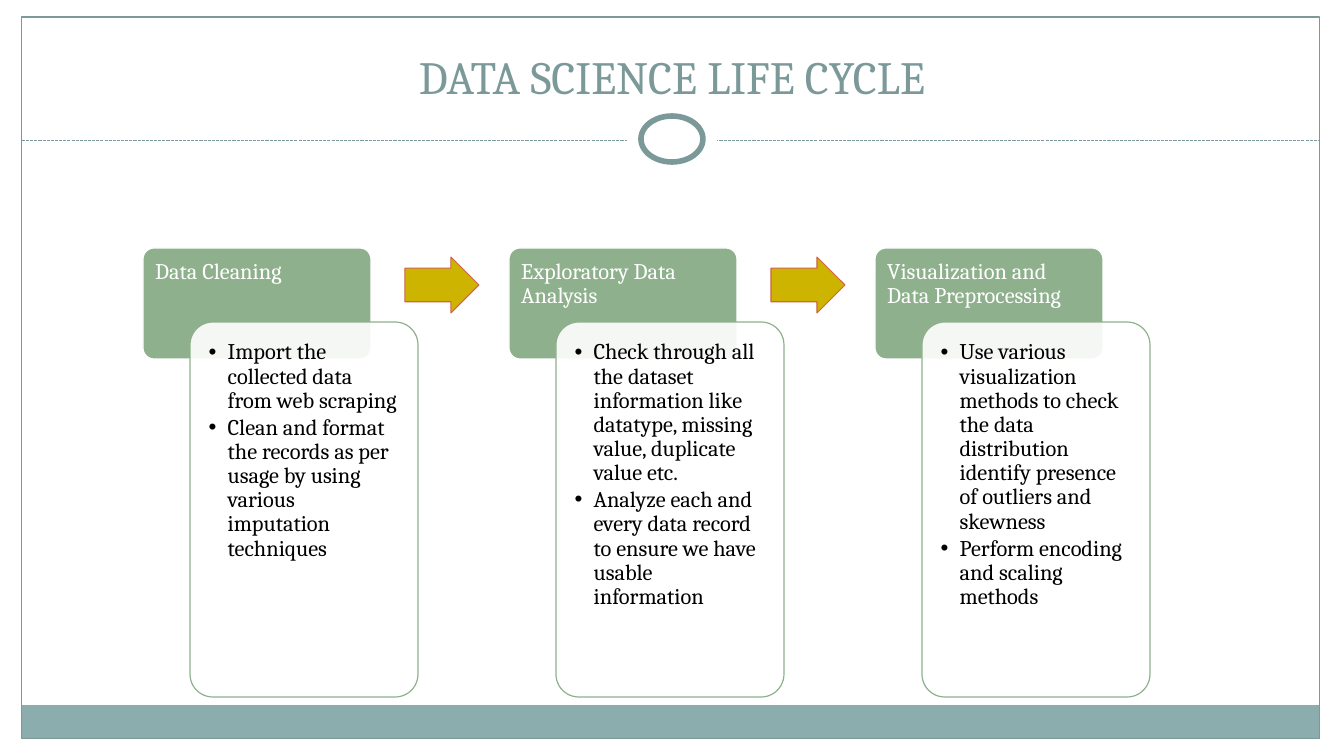
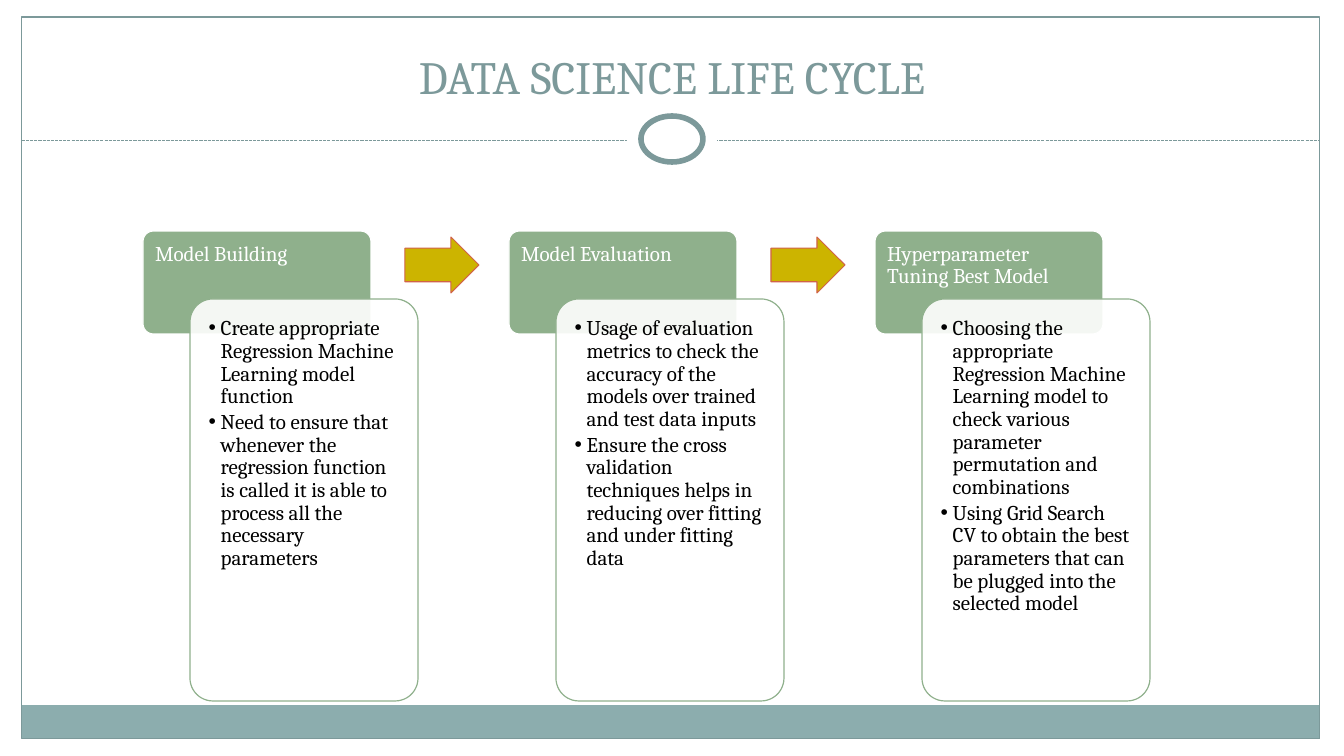
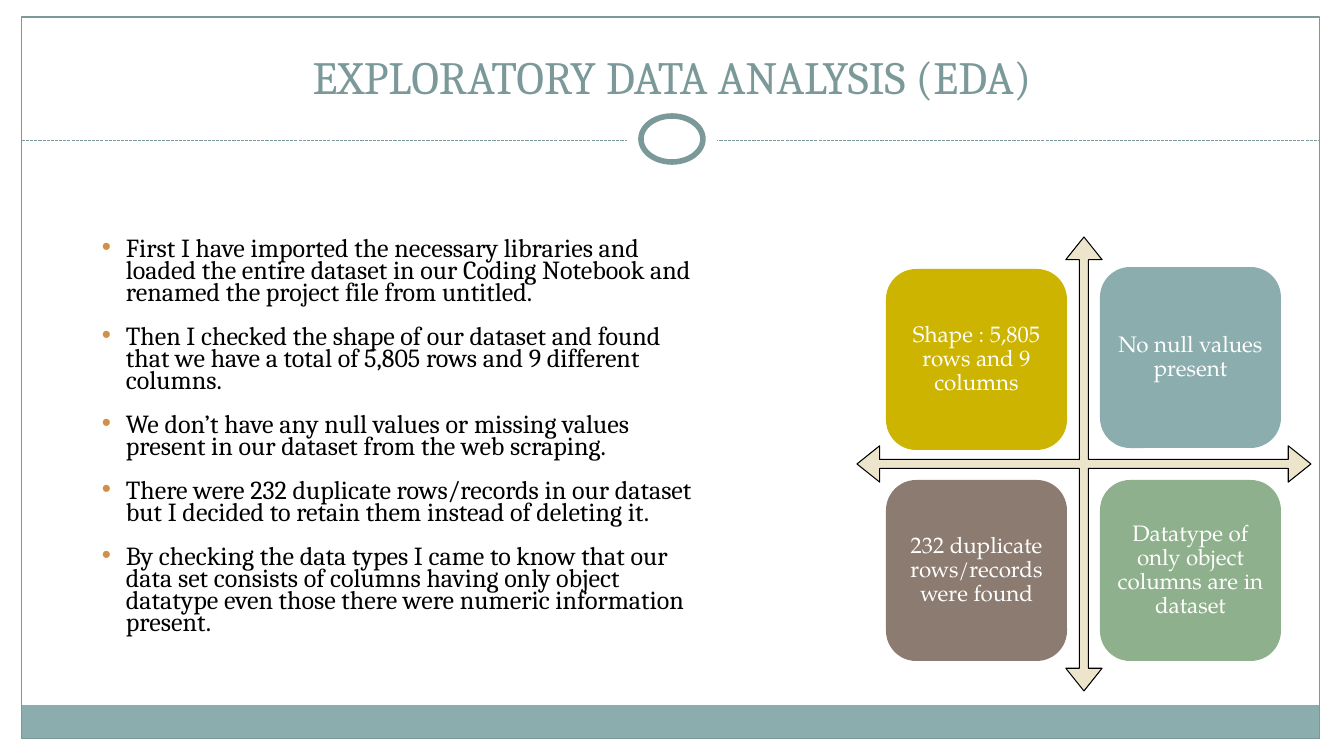
import lxml.etree
import pptx
import pptx.dml.color
import pptx.enum.dml
import pptx.enum.shapes
import pptx.enum.text
import pptx.oxml.ns
import pptx.util

RGB = pptx.dml.color.RGBColor
SHAPE = pptx.enum.shapes.MSO_SHAPE
ANCHOR = pptx.enum.text.MSO_ANCHOR
ALIGN = pptx.enum.text.PP_ALIGN
qn = pptx.oxml.ns.qn

# Colours and fonts
WHITE = RGB(0xFF, 0xFF, 0xFF)
BLACK = RGB(0x00, 0x00, 0x00)
TEAL = RGB(0x7C, 0x99, 0x9A)
LIGHT_TEAL = RGB(0x8C, 0xAD, 0xAE)
GREEN = RGB(0x8F, 0xB0, 0x8C)
MUSTARD = RGB(0xCC, 0xB4, 0x00)
BROWN = RGB(0x8C, 0x7B, 0x70)
CREAM = RGB(0xEC, 0xE5, 0xCC)
RED = RGB(0xD1, 0x63, 0x49)
ORANGE = RGB(0xD1, 0x90, 0x49)
SERIF = "Cambria"
TILE_FONT = "TeX Gyre Pagella"

PAGE_WIDTH, PAGE_HEIGHT = 1344, 756
EMU_PER_PX = 914400 / 100.8


def px(length):
    return pptx.util.Emu(round(length * EMU_PER_PX))


class Deck:
    """Holds the shared style and the slide being drawn."""

    def __init__(self):
        self.deck = pptx.Presentation()
        self.deck.slide_width = px(PAGE_WIDTH)
        self.deck.slide_height = px(PAGE_HEIGHT)
        self.page = None

    def new_page(self, title):
        self.page = self.deck.slides.add_slide(self.deck.slide_layouts[6])
        # Band, frame, divider and ring
        self.shape(SHAPE.RECTANGLE, 22, 705, 1298, 34, fill=LIGHT_TEAL)
        self.shape(SHAPE.RECTANGLE, 22, 17, 1298, 722, line=TEAL)
        self.dashed_line(22, 1320, 141)
        self.shape(SHAPE.OVAL, 627, 106, 90, 68, fill=WHITE)
        self.shape(SHAPE.OVAL, 641, 116, 62, 46, fill=WHITE, line=TEAL, weight=4)
        # Title
        box = self.text_box(45, 25, 1254, 84)
        self.add_text(box, [title], 33, TEAL, align=ALIGN.CENTER,
                      anchor=ANCHOR.BOTTOM)

    def shape(self, kind, left, top, width, height, fill=None, line=None,
              weight=0.75, adjustments=()):
        shape = self.page.shapes.add_shape(
            kind, px(left), px(top), px(width), px(height))
        shape.shadow.inherit = False
        for index, value in enumerate(adjustments):
            shape.adjustments[index] = value
        if fill is None:
            shape.fill.background()
        else:
            shape.fill.solid()
            shape.fill.fore_color.rgb = fill
        if line is None:
            shape.line.fill.background()
        else:
            shape.line.color.rgb = line
            shape.line.width = pptx.util.Pt(weight)
        return shape

    def fade(self, shape, percent):
        fill = shape._element.spPr.find(qn("a:solidFill"))
        lxml.etree.SubElement(fill.find(qn("a:srgbClr")), qn("a:alpha"),
                              val=str(percent * 1000))

    def dashed_line(self, left, right, y):
        line = self.page.shapes.add_connector(
            pptx.enum.shapes.MSO_CONNECTOR.STRAIGHT,
            px(left), px(y), px(right), px(y))
        line.line.color.rgb = TEAL
        line.line.width = pptx.util.Pt(0.75)
        line.line.dash_style = pptx.enum.dml.MSO_LINE.SQUARE_DOT
        lxml.etree.SubElement(line._element.spPr, qn("a:effectLst"))

    def text_box(self, left, top, width, height):
        return self.page.shapes.add_textbox(
            px(left), px(top), px(width), px(height))

    def add_text(self, box, texts, size, colour, font=SERIF, align=ALIGN.LEFT,
                 anchor=ANCHOR.TOP, inset=None, spacing=1.0, before=0, after=0,
                 indent=0, bullet=BLACK):
        frame = box.text_frame
        frame.word_wrap = True
        frame.vertical_anchor = anchor
        if inset is not None:
            frame.margin_left = frame.margin_right = px(inset)
            frame.margin_top = frame.margin_bottom = px(inset)
        for index, text in enumerate(texts):
            para = frame.add_paragraph() if index else frame.paragraphs[0]
            para.alignment = align
            para.line_spacing = spacing
            para.space_before = pptx.util.Pt(before)
            para.space_after = pptx.util.Pt(after)
            if indent:
                self.add_bullet(para, indent, bullet)
            span = para.add_run()
            span.text = text
            span.font.name = font
            span.font.size = pptx.util.Pt(size)
            span.font.color.rgb = colour

    def add_bullet(self, para, indent, colour):
        properties = para._p.get_or_add_pPr()
        properties.set("marL", str(px(indent)))
        properties.set("indent", str(-px(indent)))
        holder = lxml.etree.SubElement(properties, qn("a:buClr"))
        lxml.etree.SubElement(holder, qn("a:srgbClr"), val=str(colour))
        lxml.etree.SubElement(properties, qn("a:buFont"), typeface="Arial")
        lxml.etree.SubElement(properties, qn("a:buChar"), char="•")

    def process(self, steps, top, header_height, body_height, size, indent):
        """Draw headed cards in a row with an arrow between neighbours."""
        width, pitch = 228, 366
        visible = header_height * 2 // 3
        for index, (heading, points) in enumerate(steps):
            left = 143 + index * pitch
            header = self.shape(SHAPE.ROUNDED_RECTANGLE, left, top, width,
                                header_height, GREEN, WHITE, 0.85, [0.1])
            self.add_text(header, [heading], size, WHITE, inset=9, spacing=0.9)
            body = self.shape(SHAPE.ROUNDED_RECTANGLE, left + 47, top + visible,
                              width, body_height, WHITE, GREEN, 0.85, [0.1])
            self.fade(body, 90)
            self.add_text(body, points, size, BLACK, inset=12, spacing=0.9,
                          after=2, indent=indent)
            if index < len(steps) - 1:
                self.shape(SHAPE.RIGHT_ARROW, left + 262, top + visible // 2 - 28,
                           74, 56, MUSTARD, RED, adjustments=[0.6, 0.5])

    def tile(self, left, top, colour, text):
        tile = self.shape(SHAPE.ROUNDED_RECTANGLE, left, top, 181, 181, colour)
        self.add_text(tile, [text], 16, WHITE, TILE_FONT, ALIGN.CENTER,
                      ANCHOR.MIDDLE, inset=7, spacing=0.9)


PREPARATION_STEPS = [
    ("Data Cleaning", [
        "Import the collected data from web scraping",
        "Clean and format the records as per usage by using various "
        "imputation techniques"]),
    ("Exploratory Data Analysis", [
        "Check through all the dataset information like datatype, missing "
        "value, duplicate value etc.",
        "Analyze each and every data record to ensure we have usable "
        "information"]),
    ("Visualization and Data Preprocessing", [
        "Use various visualization methods to check the data distribution "
        "identify presence of outliers and skewness",
        "Perform encoding and scaling methods"]),
]

MODEL_STEPS = [
    ("Model Building", [
        "Create appropriate Regression Machine Learning model function",
        "Need to ensure that whenever the regression function is called it "
        "is able to process all the necessary parameters"]),
    ("Model Evaluation", [
        "Usage of evaluation metrics to check the accuracy of the models "
        "over trained and test data inputs",
        "Ensure the cross validation techniques helps in reducing over "
        "fitting and under fitting data"]),
    ("Hyperparameter Tuning Best Model", [
        "Choosing the appropriate Regression Machine Learning model to check "
        "various parameter permutation and combinations",
        "Using Grid Search CV to obtain the best parameters that can be "
        "plugged into the selected model"]),
]

FINDINGS = [
    "First I have imported the necessary libraries and loaded the entire "
    "dataset in our Coding Notebook and renamed the project file from "
    "untitled.",
    "Then I checked the shape of our dataset and found that we have a total "
    "of 5,805 rows and 9 different columns.",
    "We don’t have any null values or missing values present in our dataset "
    "from the web scraping.",
    "There were 232 duplicate rows/records in our dataset but I decided to "
    "retain them instead of deleting it.",
    "By checking the data types I came to know that our data set consists of "
    "columns having only object datatype even those there were numeric "
    "information present.",
]

TILES = [
    (886, 269, MUSTARD, "Shape : 5,805 rows and 9 columns"),
    (1100, 267, LIGHT_TEAL, "No null values present"),
    (886, 480, BROWN, "232 duplicate rows/records were found"),
    (1100, 480, GREEN, "Datatype of only object columns are in dataset"),
]


def main():
    deck = Deck()

    # Life cycle: data preparation
    deck.new_page("DATA SCIENCE LIFE CYCLE")
    deck.process(PREPARATION_STEPS, top=248, header_height=111,
                 body_height=375, size=16, indent=19)

    # Life cycle: modelling
    deck.new_page("DATA SCIENCE LIFE CYCLE")
    deck.process(MODEL_STEPS, top=231, header_height=103,
                 body_height=402, size=15, indent=12)

    # Exploratory analysis: four-way matrix and findings
    deck.new_page("EXPLORATORY DATA ANALYSIS (EDA)")
    deck.shape(SHAPE.QUAD_ARROW, 857, 237, 454, 454, CREAM, BLACK,
               adjustments=[0.02, 0.04, 0.05])
    for left, top, colour, text in TILES:
        deck.tile(left, top, colour, text)
    findings = deck.text_box(92, 235, 615, 458)
    deck.add_text(findings, FINDINGS, 18.6, BLACK, spacing=0.7, before=16,
                  indent=24, bullet=ORANGE)

    deck.deck.save("out.pptx")


if __name__ == "__main__":
    main()
